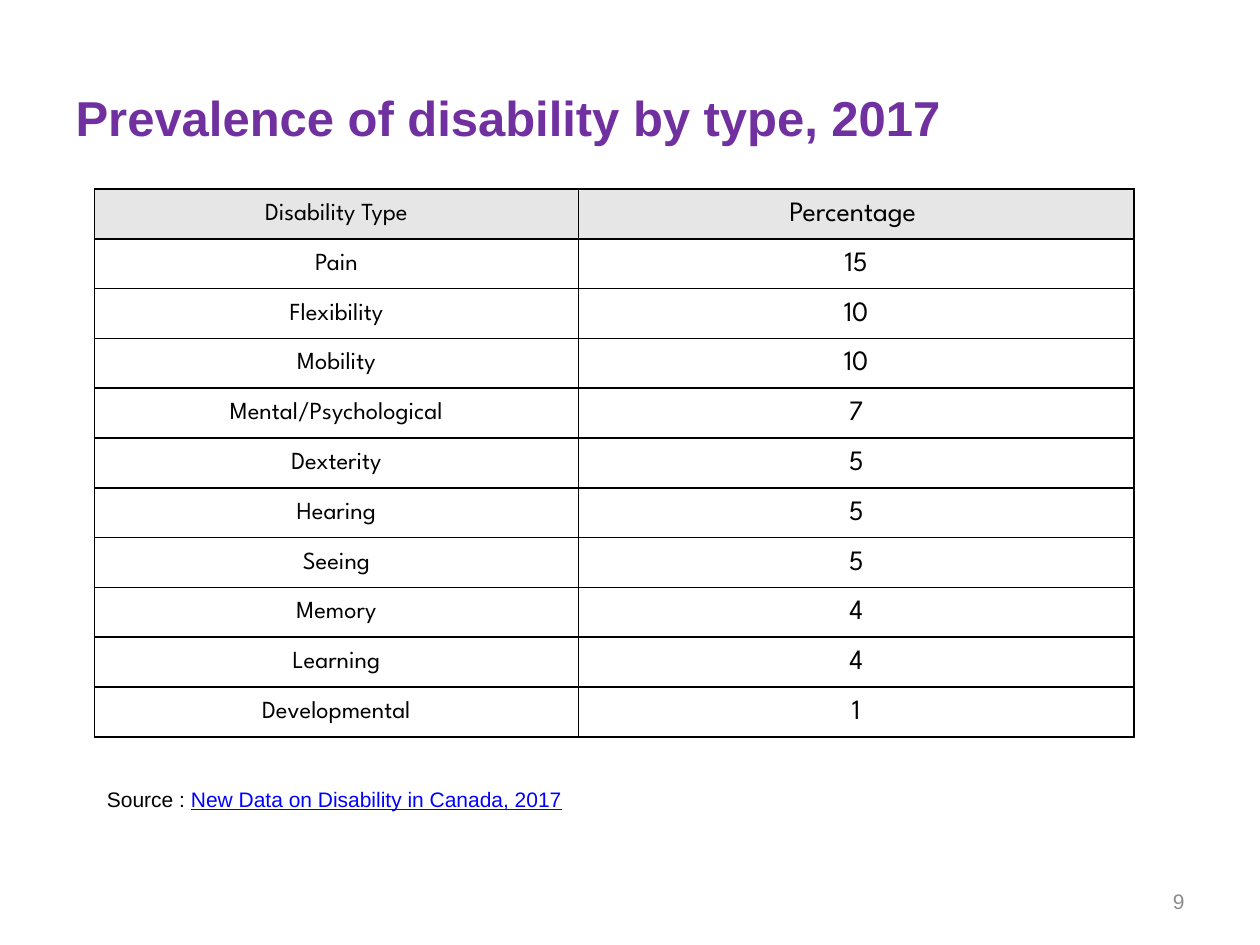
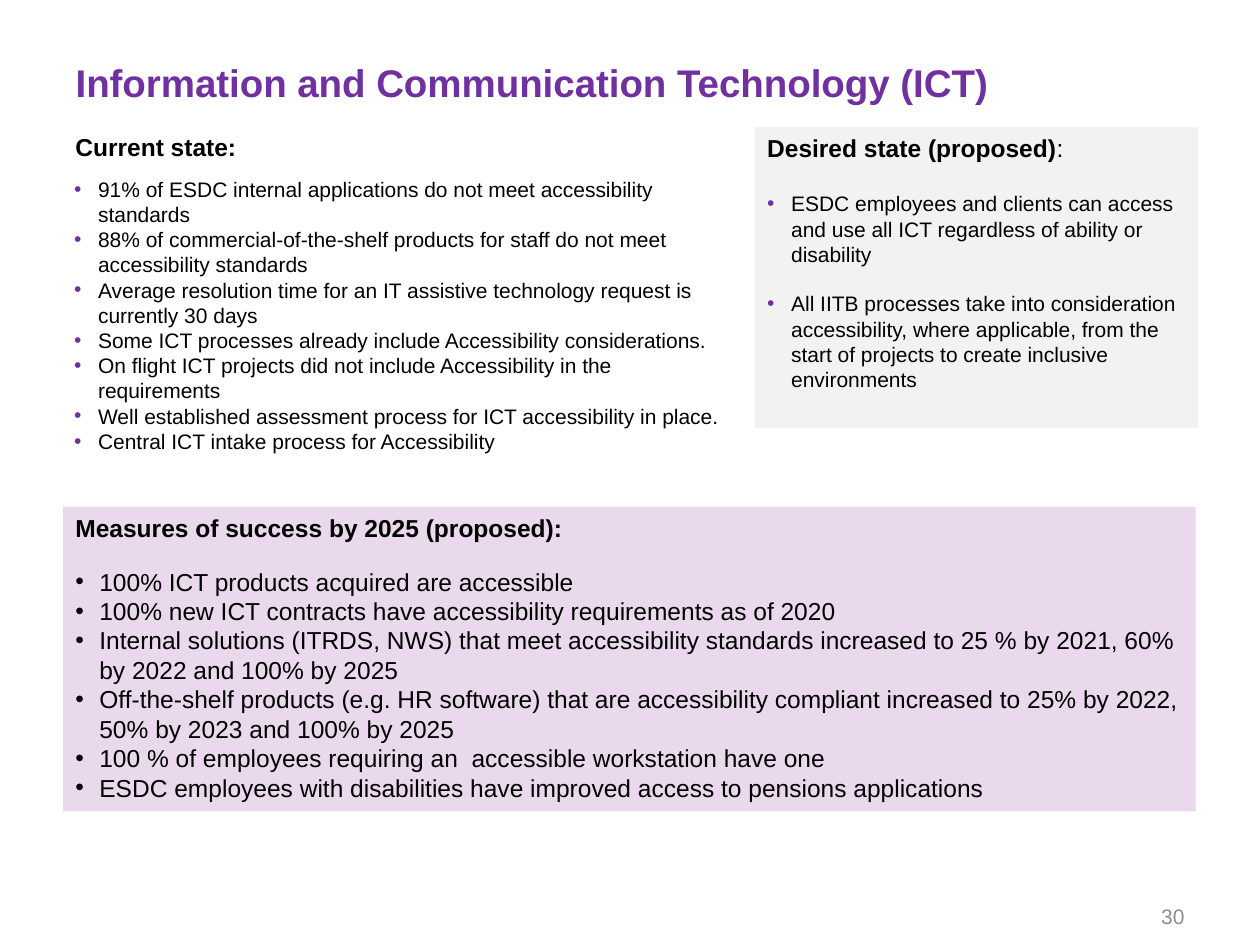
"""Build two slides on disability prevalence and accessible technology."""
from dataclasses import dataclass
from typing import Any, Optional

import pptx
import pptx.dml.color
import pptx.enum.shapes
import pptx.enum.text
import pptx.oxml
import pptx.oxml.ns
import pptx.util
from pptx.util import Inches

ALIGN = pptx.enum.text.PP_ALIGN
ANCHOR = pptx.enum.text.MSO_ANCHOR


@dataclass(frozen=True)
class Theme:
    """Colours, fonts and type sizes."""
    purple: str = "7030A0"
    black: str = "000000"
    grey: str = "8C8C8C"
    link: str = "0000FF"
    header_fill: str = "E7E6E6"
    desired_fill: str = "F2F2F2"
    measures_fill: str = "EAD8ED"
    font: str = "Arial"
    table_font: str = "League Spartan"
    small: int = 12
    medium: int = 14
    large: int = 16
    long_title: int = 22
    short_title: int = 28


THEME = Theme()


@dataclass(frozen=True)
class Box:
    """A place on the slide, in inches."""
    left: float
    top: float
    width: float
    height: float

    def lengths(self) -> tuple[int, ...]:
        """Return the four sides as lengths."""
        return tuple(Inches(n) for n in (self.left, self.top, self.width, self.height))


@dataclass(frozen=True)
class Phrase:
    """A stretch of text in one format."""
    text: str
    size: int = THEME.small
    color: str = THEME.black
    bold: bool = False
    underline: bool = False
    font: str = THEME.font


@dataclass(frozen=True)
class Line:
    """A paragraph with its spacing and optional bullet."""
    phrases: tuple[Phrase, ...]
    before: int = 0
    bullet: Optional[str] = None
    align: Any = ALIGN.LEFT
    spacing: float = 1.0


@dataclass(frozen=True)
class Panel:
    """A block of paragraphs, with a fill when it is a rectangle."""
    box: Box
    lines: tuple[Line, ...]
    fill: Optional[str] = None
    anchor: Any = ANCHOR.TOP


INDENT = Inches(0.19)
TABLE_BOX = Box(0.75, 1.5, 8.25, 4.35)
COLUMN_WIDTHS = (3.84, 4.41)
COLUMN_SIZES = (THEME.medium, THEME.large)
PREVALENCE = (
    ("Disability Type", "Percentage "),
    ("Pain", "15"),
    ("Flexibility", "10"),
    ("Mobility", "10"),
    ("Mental/Psychological", "7"),
    ("Dexterity", "5"),
    ("Hearing", "5"),
    ("Seeing", "5"),
    ("Memory", "4"),
    ("Learning", "4"),
    ("Developmental", "1"),
)
CURRENT_STATE = (
    "91% of ESDC internal applications do not meet accessibility standards",
    "88% of commercial-of-the-shelf products for staff do not meet accessibility standards",
    "Average resolution time for an IT assistive technology request is currently 30 days",
    "Some ICT processes already include Accessibility considerations.",
    "On flight ICT projects did not include Accessibility in the requirements",
    "Well established assessment process for ICT accessibility in place.",
    "Central ICT intake process for Accessibility",
)
DESIRED_STATE = (
    "ESDC employees and clients can access and use all ICT regardless of ability or disability",
    "All IITB processes take into consideration accessibility, where applicable, "
    "from the start of projects to create inclusive environments",
)
MEASURES = (
    "100% ICT products acquired are accessible",
    "100% new ICT contracts have accessibility requirements as of 2020",
    "Internal solutions (ITRDS, NWS) that meet accessibility standards increased "
    "to 25 % by 2021, 60% by 2022 and 100% by 2025",
    "Off-the-shelf products (e.g. HR software) that are accessibility compliant increased "
    "to 25% by 2022, 50% by 2023 and 100% by 2025",
    "100 % of employees requiring an  accessible workstation have one",
    "ESDC employees with disabilities have improved access to pensions applications",
)


def assign(target: Any, values: dict[str, Any]) -> None:
    """Set each named attribute on the target."""
    for name, value in values.items():
        setattr(target, name, value)


def rgb(color: str) -> pptx.dml.color.RGBColor:
    """Return a colour from its hex digits."""
    return pptx.dml.color.RGBColor.from_string(color)


def add_xml(parent: Any, markup: str) -> None:
    """Append one drawing element to the parent."""
    head, tail = markup.split(" ", 1)
    parent.append(pptx.oxml.parse_xml(f"{head} {pptx.oxml.ns.nsdecls('a')} {tail}"))


def write_lines(frame: Any, lines: tuple[Line, ...]) -> None:
    """Fill a text frame with paragraphs."""
    for index, line in enumerate(lines):
        paragraph = frame.add_paragraph() if index else frame.paragraphs[0]
        assign(paragraph, {
            "alignment": line.align,
            "line_spacing": line.spacing,
            "space_before": pptx.util.Pt(line.before),
        })
        if line.bullet:
            properties = paragraph._p.get_or_add_pPr()
            properties.set("marL", str(INDENT))
            properties.set("indent", str(-INDENT))
            add_xml(properties, f'<a:buClr ><a:srgbClr val="{line.bullet}"/></a:buClr>')
            add_xml(properties, f'<a:buFont typeface="{THEME.font}"/>')
            add_xml(properties, '<a:buChar char="•"/>')
        for phrase in line.phrases:
            run = paragraph.add_run()
            run.text = phrase.text
            assign(run.font, {
                "name": phrase.font,
                "size": pptx.util.Pt(phrase.size),
                "bold": phrase.bold,
                "underline": phrase.underline,
            })
            run.font.color.rgb = rgb(phrase.color)


def bullets(texts: tuple[str, ...], size: int, color: str,
            first_gap: int = 0, gap: int = 0) -> tuple[Line, ...]:
    """Return bulleted paragraphs with a gap above the first and between the rest."""
    return tuple(Line((Phrase(text, size),), gap if index else first_gap, color)
                 for index, text in enumerate(texts))


def heading(text: str, ending: str = "") -> Line:
    """Return a bold heading with an optional plain ending."""
    phrases = (Phrase(text, THEME.medium, bold=True),)
    return Line(phrases + ((Phrase(ending, THEME.medium),) if ending else ()))


def draw_panel(slide: Any, panel: Panel) -> None:
    """Draw a text block, filled when the panel has a fill."""
    if panel.fill:
        block = slide.shapes.add_shape(
            pptx.enum.shapes.MSO_SHAPE.RECTANGLE, *panel.box.lengths())
        block.shadow.inherit = False
        block.fill.solid()
        block.fill.fore_color.rgb = rgb(panel.fill)
        block.line.fill.background()
    else:
        block = slide.shapes.add_textbox(*panel.box.lengths())
    assign(block.text_frame, {"word_wrap": True, "vertical_anchor": panel.anchor})
    write_lines(block.text_frame, panel.lines)


def add_titled_slide(deck: Any, text: str, size: int, height: float,
                     number: str, number_top: float) -> Any:
    """Add a slide with its title and page number."""
    slide = deck.slides.add_slide(deck.slide_layouts[5])
    title = slide.shapes.title
    sides = Box(0.5, 0.3, 9, height).lengths()
    assign(title, dict(zip(("left", "top", "width", "height"), sides)))
    assign(title.text_frame, {
        "word_wrap": True,
        "vertical_anchor": ANCHOR.MIDDLE,
        "auto_size": pptx.enum.text.MSO_AUTO_SIZE.NONE,
    })
    write_lines(title.text_frame, (Line((Phrase(text, size, THEME.purple, True),)),))
    page = Line((Phrase(number, color=THEME.grey),), align=ALIGN.RIGHT)
    draw_panel(slide, Panel(Box(7.17, number_top, 2.33, 0.4), (page,), anchor=ANCHOR.MIDDLE))
    return slide


def draw_prevalence(slide: Any) -> None:
    """Draw the table of disability types."""
    table = slide.shapes.add_table(
        len(PREVALENCE), len(COLUMN_WIDTHS), *TABLE_BOX.lengths()).table
    assign(table, {"first_row": False, "horz_banding": False})
    for column, width in zip(table.columns, COLUMN_WIDTHS):
        column.width = Inches(width)
    for index, entries in enumerate(PREVALENCE):
        table.rows[index].height = Inches(TABLE_BOX.height / len(PREVALENCE))
        for position, (text, size) in enumerate(zip(entries, COLUMN_SIZES)):
            cell = table.cell(index, position)
            assign(cell, {
                "margin_left": Inches(0.07),
                "margin_right": Inches(0.07),
                "margin_top": 0,
                "margin_bottom": 0,
                "vertical_anchor": ANCHOR.MIDDLE,
            })
            phrase = Phrase(text, size, font=THEME.table_font)
            write_lines(cell.text_frame,
                        (Line((phrase,), align=ALIGN.CENTER, spacing=1.07),))
            for side in ("lnL", "lnR", "lnT", "lnB"):
                add_xml(cell._tc.get_or_add_tcPr(),
                        f'<a:{side} w="{pptx.util.Pt(1)}"><a:solidFill>'
                        f'<a:srgbClr val="{THEME.black}"/></a:solidFill></a:{side}>')
            if index:
                cell.fill.background()
            else:
                cell.fill.solid()
                cell.fill.fore_color.rgb = rgb(THEME.header_fill)


def main() -> None:
    """Build and save the deck."""
    deck = pptx.Presentation()
    assign(deck, {"slide_width": Inches(10), "slide_height": Inches(7.5)})

    prevalence = add_titled_slide(deck, "Prevalence of disability by type, 2017",
                                  THEME.short_title, 1.25, "9", 6.95)
    draw_prevalence(prevalence)
    source = Line((Phrase("Source : "),
                   Phrase("New Data on Disability in Canada, 2017",
                          color=THEME.link, underline=True)))
    draw_panel(prevalence, Panel(Box(0.75, 6.19, 8.25, 0.3), (source,)))

    technology = add_titled_slide(deck, "Information and Communication Technology (ICT)",
                                  THEME.long_title, 0.71, "30", 7.07)
    panels = (
        Panel(Box(0.5, 1, 9, 3.1), (heading("Current state:"),)),
        Panel(Box(0.49, 1.35, 5.47, 2.32),
              bullets(CURRENT_STATE, THEME.small, THEME.purple)),
        Panel(Box(5.99, 1.01, 3.52, 2.39),
              (heading("Desired state (proposed)", ":"),
               *bullets(DESIRED_STATE, THEME.small, THEME.purple, 16, 14)),
              THEME.desired_fill),
        Panel(Box(0.5, 4.02, 8.99, 2.42),
              (heading("Measures of success by 2025 (proposed):"),
               *bullets(MEASURES, THEME.medium, THEME.black, 14)),
              THEME.measures_fill),
    )
    for panel in panels:
        draw_panel(technology, panel)

    deck.save("out.pptx")


if __name__ == "__main__":
    main()
